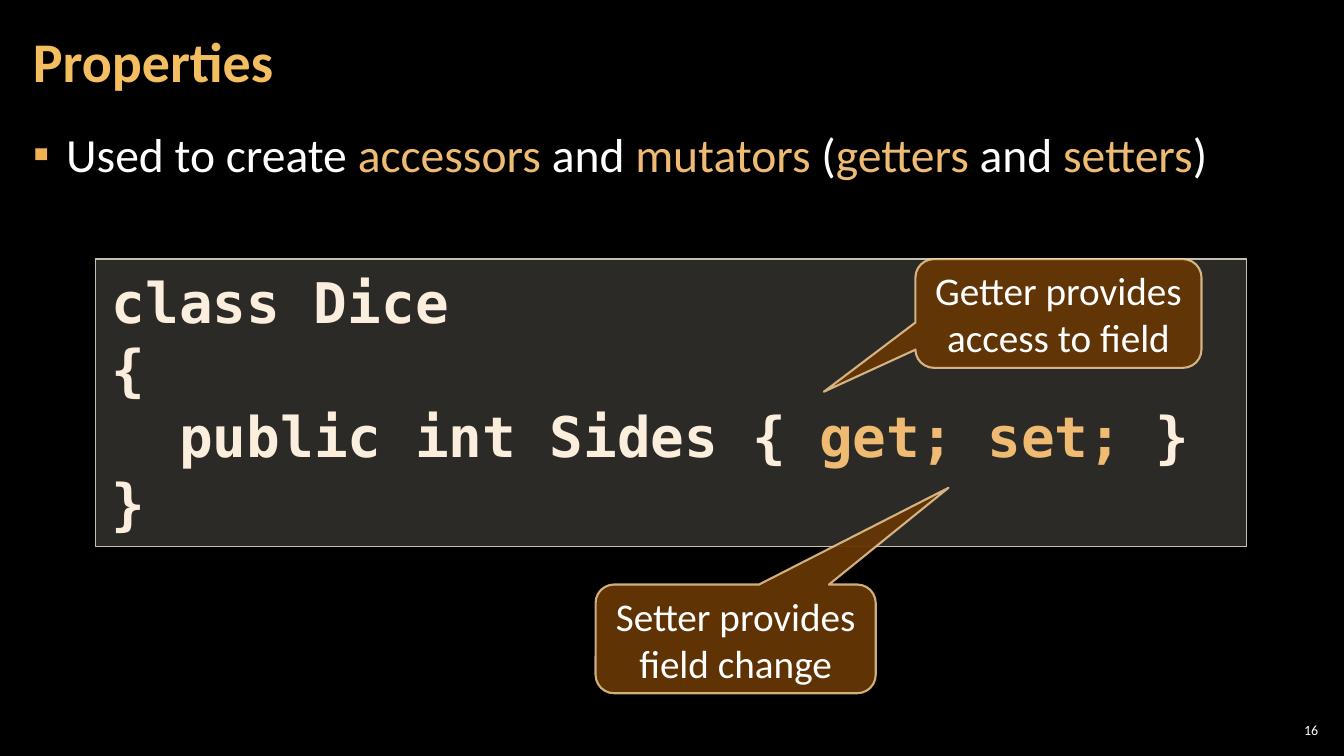
from dataclasses import dataclass

from lxml import etree
from pptx import Presentation
from pptx import util as u
from pptx.dml import color
from pptx.enum import shapes, text
from pptx.oxml import ns

WHITE = "FFFFFF"
ACCENT = "EFBB72"
CREAM = "FBEEDC"
SANS = "Calibri"
MONO = "DejaVu Sans Mono"


@dataclass(frozen=True)
class Area:
    left: float
    top: float
    width: float
    height: float

    def lengths(self) -> list[u.Cm]:
        return [u.Cm(n) for n in (self.left, self.top, self.width, self.height)]


@dataclass(frozen=True)
class Style:
    size: float
    colour: str = WHITE
    name: str = SANS
    bold: bool = False


@dataclass(frozen=True)
class Callout:
    words: str
    area: Area
    tip_x: float
    tip_y: float


@dataclass(frozen=True)
class CodeLine:
    spans: list[tuple[str, str]]
    indent: float = 0


CALLOUTS = [
    Callout("Getter provides access to field", Area(23.07, 6.53, 7.21, 2.74), -0.82, 0.72),
    Callout("Setter provides field change", Area(15.01, 14.73, 7.06, 2.74), 0.76, -1.39),
]
CODE = [
    CodeLine([("class Dice", CREAM)]),
    CodeLine([("{", CREAM)]),
    CodeLine([("public int Sides { ", CREAM), ("get; set; ", ACCENT), ("}", CREAM)], 1.7),
    CodeLine([("}", CREAM)]),
]
SENTENCE = [
    ("Used to create ", WHITE), ("accessors", ACCENT), (" and ", WHITE),
    ("mutators", ACCENT), (" (", WHITE), ("getters", ACCENT),
    (" and ", WHITE), ("setters", ACCENT), (")", WHITE),
]


def rgb(value: str) -> color.RGBColor:
    return color.RGBColor.from_string(value)


def set_font(font, style: Style) -> None:
    font.size = u.Pt(style.size)
    font.name = style.name
    font.bold = style.bold
    font.color.rgb = rgb(style.colour)


def set_frame(frame, side: float, edge: float, anchor=text.MSO_ANCHOR.TOP) -> None:
    frame.word_wrap = True
    frame.vertical_anchor = anchor
    frame.margin_left = frame.margin_right = u.Cm(side)
    frame.margin_top = frame.margin_bottom = u.Cm(edge)


def add_spans(para, spans: list[tuple[str, str]], style: Style) -> None:
    set_font(para.font, style)
    for words, colour in spans:
        span = para.add_run()
        span.text = words
        set_font(span.font, Style(style.size, colour, style.name, style.bold))


def set_indent(para, left: float, first: float = 0):
    properties = para._p.get_or_add_pPr()
    properties.set("marL", str(u.Cm(left)))
    properties.set("indent", str(u.Cm(first)))
    return properties


def add_bullet(para, symbol: str, colour: str) -> None:
    properties = set_indent(para, 0.84, -0.84)
    tint = etree.SubElement(properties, ns.qn("a:buClr"))
    etree.SubElement(tint, ns.qn("a:srgbClr"), val=colour)
    etree.SubElement(properties, ns.qn("a:buFont"), typeface="Arial")
    etree.SubElement(properties, ns.qn("a:buChar"), char=symbol)


def set_opacity(parent, percent: int) -> None:
    tint = parent.find(ns.qn("a:solidFill")).find(ns.qn("a:srgbClr"))
    etree.SubElement(tint, ns.qn("a:alpha"), val=str(percent * 1000))


def add_panel(page, kind, area: Area, fill: str, opacity: int, line: str, width: float):
    box = page.shapes.add_shape(kind, *area.lengths())
    box.shadow.inherit = False
    box.fill.solid()
    box.fill.fore_color.rgb = rgb(fill)
    set_opacity(box._element.spPr, opacity)
    box.line.color.rgb = rgb(line)
    box.line.width = u.Pt(width)
    return box


def add_label(page, words: str, area: Area, style: Style, side: float):
    box = page.shapes.add_textbox(*area.lengths())
    set_frame(box.text_frame, side, 0.1, text.MSO_ANCHOR.MIDDLE)
    para = box.text_frame.paragraphs[0]
    para.text = words
    set_font(para.font, style)
    return para


def add_sentence(page) -> None:
    box = page.shapes.add_textbox(*Area(0.53, 2.97, 32.79, 15.47).lengths())
    set_frame(box.text_frame, 0.3, 0.1)
    para = box.text_frame.paragraphs[0]
    para.line_spacing = 1.05
    para.space_before = para.space_after = u.Pt(6)
    add_bullet(para, "▪", "F2B254")
    add_spans(para, SENTENCE, Style(34))


def add_code(page) -> None:
    box = add_panel(page, shapes.MSO_SHAPE.RECTANGLE, Area(2.41, 6.53, 29.01, 7.24),
                    "D9D5C7", 20, "C7BFAC", 1)
    frame = box.text_frame
    set_frame(frame, 0.41, 0.2)
    for number, line in enumerate(CODE):
        para = frame.add_paragraph() if number else frame.paragraphs[0]
        para.alignment = text.PP_ALIGN.LEFT
        set_indent(para, line.indent)
        add_spans(para, line.spans, Style(40, CREAM, MONO, True))


def add_callout(page, callout: Callout) -> None:
    box = add_panel(page, shapes.MSO_SHAPE.ROUNDED_RECTANGULAR_CALLOUT, callout.area,
                    "663606", 95, "F8D49E", 1.5)
    set_opacity(box.line._ln, 80)
    for number, value in enumerate((callout.tip_x, callout.tip_y, 0.17)):
        box.adjustments[number] = value
    set_frame(box.text_frame, 0.25, 0.13, text.MSO_ANCHOR.MIDDLE)
    para = box.text_frame.paragraphs[0]
    para.text = callout.words
    para.alignment = text.PP_ALIGN.CENTER
    set_font(para.font, Style(28))


def main() -> None:
    deck = Presentation()
    deck.slide_width, deck.slide_height = u.Cm(33.87), u.Cm(19.05)
    page = deck.slides.add_slide(deck.slide_layouts[6])
    page.background.fill.solid()
    page.background.fill.fore_color.rgb = rgb("000000")

    number = add_label(page, "16", Area(32.13, 18.14, 1.19, 0.53), Style(10), 0.1)
    number.alignment = text.PP_ALIGN.RIGHT
    add_sentence(page)
    title = add_label(page, "Properties", Area(0.53, 0.1, 26.59, 3.07),
                      Style(40, "F3BE60", bold=True), 0.3)
    title.line_spacing = 0.9
    add_code(page)
    for callout in CALLOUTS:
        add_callout(page, callout)
    deck.save("out.pptx")


if __name__ == "__main__":
    main()
